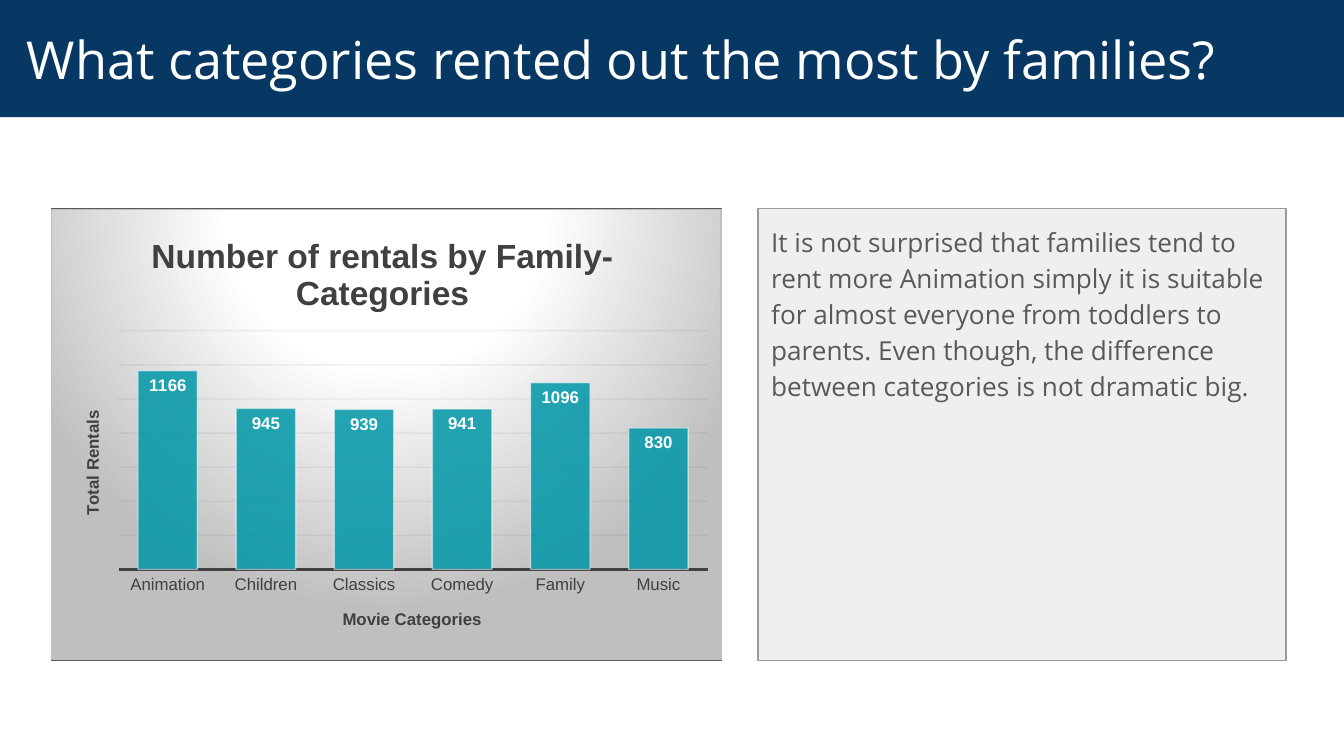
from lxml import etree
from pptx import Presentation, util as u
from pptx.chart.data import CategoryChartData
from pptx.dml.color import RGBColor
from pptx.enum import chart as ch, shapes, text
from pptx.oxml import parse_xml
from pptx.oxml.ns import nsdecls, qn

COLORS = {
    "navy": "073763", "white": "FFFFFF", "panel": "EFEFEF", "backing": "EEEEEE",
    "panel_edge": "999999", "backing_edge": "595959", "body": "595959",
    "bar": "0097A7", "dark": "404040", "grid": "0D0D0D", "silver": "BFBFBF",
}
RGB = {name: RGBColor.from_string(value) for name, value in COLORS.items()}


def set_alpha(element, percent):
    for color in element.iter(qn("a:srgbClr")):
        etree.SubElement(color, qn("a:alpha")).set("val", str(percent * 1000))


def place(element, index, **shares):
    layout = element.find(qn("c:layout"))
    if layout is None:
        layout = etree.Element(qn("c:layout"))
        element.insert(index, layout)
    manual = etree.SubElement(layout, qn("c:manualLayout"))
    if "w" in shares:
        etree.SubElement(manual, qn("c:layoutTarget")).set("val", "inner")
    for axis in "xy":
        etree.SubElement(manual, qn(f"c:{axis}Mode")).set("val", "edge")
    for key, share in shares.items():
        etree.SubElement(manual, qn(f"c:{key}")).set("val", str(share))


deck = Presentation()
deck.slide_width = u.Inches(10)
deck.slide_height = deck.slide_width * 9 // 16
slide = deck.slides.add_slide(deck.slide_layouts[6])
col, row = deck.slide_width / 100, deck.slide_height / 100
top, height = 27.6, 59.75

panels = []
for left, upper, width, tall, fill, edge in [
    (56.4, top, 39.3, height, "panel", "panel_edge"),
    (3.85, top, 49.8, height, "backing", "backing_edge"),
    (0, 0, 100, 15.5, "navy", None),
]:
    panel = slide.shapes.add_shape(
        shapes.MSO_SHAPE.RECTANGLE,
        int(left * col), int(upper * row), int(width * col), int(tall * row))
    panel.shadow.inherit = False
    panel.fill.solid()
    panel.fill.fore_color.rgb = RGB[fill]
    if edge:
        panel.line.color.rgb = RGB[edge]
        panel.line.width = u.Pt(0.75)
    else:
        panel.line.fill.background()
    panels.append(panel)
commentary, backing, heading = panels

for holder, words, size, color, anchor, inset in [
    (commentary, "It is not surprised that families tend to rent more Animation simply "
     "it is suitable for almost everyone from toddlers to parents. Even though, the "
     "difference between categories is not dramatic big.",
     14, "body", text.MSO_ANCHOR.TOP, 0.1),
    (heading, "What categories rented out the most by families?",
     28, "white", text.MSO_ANCHOR.MIDDLE, 0.2),
]:
    frame = holder.text_frame
    frame.text = words
    frame.word_wrap = True
    frame.vertical_anchor = anchor
    frame.margin_left = u.Inches(inset)
    frame.margin_right = frame.margin_top = frame.margin_bottom = u.Inches(0.1)
    paragraph = frame.paragraphs[0]
    paragraph.alignment = text.PP_ALIGN.LEFT
    font = paragraph.runs[0].font
    font.name, font.size, font.color.rgb = "Open Sans", u.Pt(size), RGB[color]
commentary.text_frame.paragraphs[0].line_spacing = 1.15
commentary.text_frame.paragraphs[0].space_after = u.Pt(16)

rentals = CategoryChartData()
rentals.categories = ["Animation", "Children", "Classics", "Comedy", "Family", "Music"]
rentals.add_series("Series 1", [1166, 945, 939, 941, 1096, 830])
chart = slide.shapes.add_chart(
    ch.XL_CHART_TYPE.COLUMN_CLUSTERED, int(3.8 * col), int(top * row),
    int(49.9 * col), int(height * row), rentals).chart
chart.has_legend = False
chart.font.name, chart.font.size = "Arial", u.Pt(10)

movies, totals = chart.category_axis, chart.value_axis
movies.major_tick_mark = ch.XL_TICK_MARK.NONE
movies.format.line.color.rgb = RGB["dark"]
movies.format.line.width = u.Pt(1.5)
movies.tick_labels.font.name = "Arial"
movies.tick_labels.font.size = u.Pt(9)
movies.tick_labels.font.color.rgb = RGB["dark"]
totals.minimum_scale, totals.maximum_scale, totals.major_unit = 0, 1400, 200
totals.visible = False
gridlines = totals.major_gridlines.format.line
gridlines.color.rgb = RGB["grid"]
gridlines.width = u.Pt(0.75)
set_alpha(totals._element.find(qn("c:majorGridlines")), 5)

for owner, title, words, size, x, y in [
    (chart, chart.chart_title, "Number of rentals by Family-Categories", 18, 0.14, 0.04),
    (movies, movies.axis_title, "Movie Categories", 9, 0.43, 0.88),
    (totals, totals.axis_title, "Total Rentals", 9, 0.04, 0.44),
]:
    title.text_frame.text = words
    font = title.text_frame.paragraphs[0].runs[0].font
    font.name, font.size, font.bold = "Arial", u.Pt(size), True
    font.color.rgb = RGB["dark"]
    place(title._element, 1, x=x, y=y)
totals.axis_title.text_frame._txBody.bodyPr.set("rot", "-5400000")
totals.axis_title.text_frame._txBody.bodyPr.set("vert", "horz")

plot = chart.plots[0]
plot.gap_width = 65
plot.vary_by_categories = False
bars = plot.series[0]
bars.format.fill.solid()
bars.format.fill.fore_color.rgb = RGB["bar"]
set_alpha(bars._element.spPr, 85)
bars.format.line.color.rgb = RGB["white"]
bars.format.line.width = u.Pt(0.75)
set_alpha(bars._element.spPr.find(qn("a:ln")), 50)

labels = bars.data_labels
labels.show_value = True
labels.position = ch.XL_LABEL_POSITION.INSIDE_END
labels.font.name, labels.font.size, labels.font.bold = "Arial", u.Pt(9), True
labels.font.color.rgb = RGB["white"]

place(chart._chartSpace.chart.plotArea, 0, x=0.1, y=0.27, w=0.88, h=0.53)

stops = "".join(
    f'<a:gs pos="{share * 1000}"><a:srgbClr val="{COLORS[name]}"/></a:gs>'
    for share, name in [(0, "white"), (39, "white"), (100, "silver")])
chart._chartSpace.chart.addnext(parse_xml(
    f'<c:spPr {nsdecls("c", "a")}><a:gradFill>'
    f'<a:gsLst>{stops}</a:gsLst><a:path path="circle">'
    '<a:fillToRect l="50000" t="-80000" r="50000" b="180000"/></a:path></a:gradFill>'
    f'<a:ln w="{u.Pt(0.75)}"><a:solidFill><a:srgbClr val="{COLORS["silver"]}"/>'
    '</a:solidFill></a:ln></c:spPr>'))

deck.save("out.pptx")
